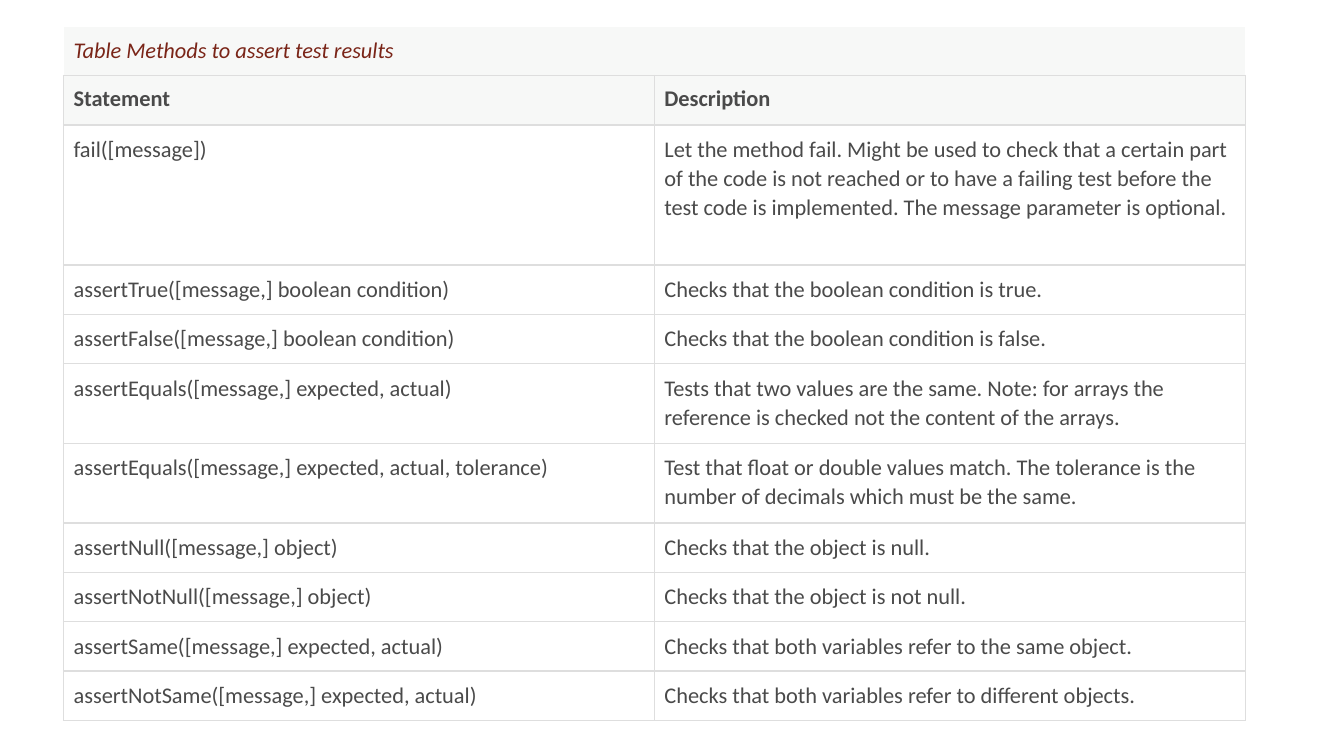
from lxml.etree import SubElement
from pptx import Presentation
from pptx.dml.color import RGBColor
from pptx.enum.text import MSO_ANCHOR
from pptx.oxml.ns import qn
from pptx.util import Inches, Pt

COLORS = {
    "caption": "7A2518",
    "text": "4A4A4A",
    "band": "F7F8F7",
    "body": "FFFFFF",
    "border": "DEDEDE",
}
FONT = "Calibri"
CAPTION = "Table Methods to assert test results"
HEADINGS = ("Statement", "Description")
METHODS = [
    ("fail([message])",
     "Let the method fail. Might be used to check that a certain part of the code "
     "is not reached or to have a failing test before the test code is implemented. "
     "The message parameter is optional."),
    ("assertTrue([message,] boolean condition)",
     "Checks that the boolean condition is true."),
    ("assertFalse([message,] boolean condition)",
     "Checks that the boolean condition is false."),
    ("assertEquals([message,] expected, actual)",
     "Tests that two values are the same. Note: for arrays the reference is checked "
     "not the content of the arrays."),
    ("assertEquals([message,] expected, actual, tolerance)",
     "Test that float or double values match. The tolerance is the number of "
     "decimals which must be the same."),
    ("assertNull([message,] object)", "Checks that the object is null."),
    ("assertNotNull([message,] object)", "Checks that the object is not null."),
    ("assertSame([message,] expected, actual)",
     "Checks that both variables refer to the same object."),
    ("assertNotSame([message,] expected, actual)",
     "Checks that both variables refer to different objects."),
]
SINGLE_ROW, DOUBLE_ROW, TALL_ROW = 0.49, 0.79, 1.39
ROW_HEIGHTS = ([SINGLE_ROW] * 2 + [TALL_ROW] + [SINGLE_ROW] * 2
               + [DOUBLE_ROW] * 2 + [SINGLE_ROW] * 4)


def color(name):
    return RGBColor.from_string(COLORS[name])


def draw_borders(cell, sides):
    properties = cell._tc.get_or_add_tcPr()
    for side in sides:
        line = SubElement(properties, qn(f"a:ln{side}"), w=str(Pt(1)))
        fill = SubElement(line, qn("a:solidFill"))
        SubElement(fill, qn("a:srgbClr"), val=COLORS["border"])


def style_cell(cell, fill, sides, top, bottom):
    draw_borders(cell, sides)
    cell.fill.solid()
    cell.fill.fore_color.rgb = color(fill)
    cell.margin_left = cell.margin_right = Inches(0.1)
    cell.margin_top, cell.margin_bottom = Inches(top), Inches(bottom)


def write_cell(cell, text, ink="text", bold=False, italic=False):
    para = cell.text_frame.paragraphs[0]
    para.line_spacing = 1.07
    span = para.add_run()
    span.text = text
    span.font.name = FONT
    span.font.size = Pt(16)
    span.font.bold = bold
    span.font.italic = italic
    span.font.color.rgb = color(ink)


def add_method_table(page, left, top, width, height):
    rows = [HEADINGS] + METHODS
    table = page.shapes.add_table(
        len(rows) + 1, len(HEADINGS), left, top, width, height).table
    table.first_row = table.horz_banding = False
    for column in table.columns:
        column.width = width // len(HEADINGS)
    for row, row_height in zip(table.rows, ROW_HEIGHTS):
        row.height = Inches(row_height)

    # Caption across both columns
    caption, covered = table.cell(0, 0), table.cell(0, 1)
    caption.merge(covered)
    for cell in (caption, covered):
        style_cell(cell, "band", "B", 0.08, 0.1)
    caption.vertical_anchor = MSO_ANCHOR.MIDDLE
    write_cell(caption, CAPTION, "caption", italic=True)
    caption.text_frame.paragraphs[0].space_after = Pt(3)

    # Headings and methods
    for index, texts in enumerate(rows, start=1):
        heading = index == 1
        look = ("band", "LRTB", 0.08, 0.1) if heading else ("body", "LRTB", 0.09, 0.09)
        for column, text in enumerate(texts):
            cell = table.cell(index, column)
            style_cell(cell, *look)
            write_cell(cell, text, bold=heading)


def main():
    deck = Presentation()
    deck.slide_width, deck.slide_height = Inches(13.33), Inches(7.5)
    page = deck.slides.add_slide(deck.slide_layouts[6])
    add_method_table(page, Inches(0.63), Inches(0.26),
                     Inches(11.72), Inches(sum(ROW_HEIGHTS)))
    deck.save("out.pptx")


if __name__ == "__main__":
    main()
